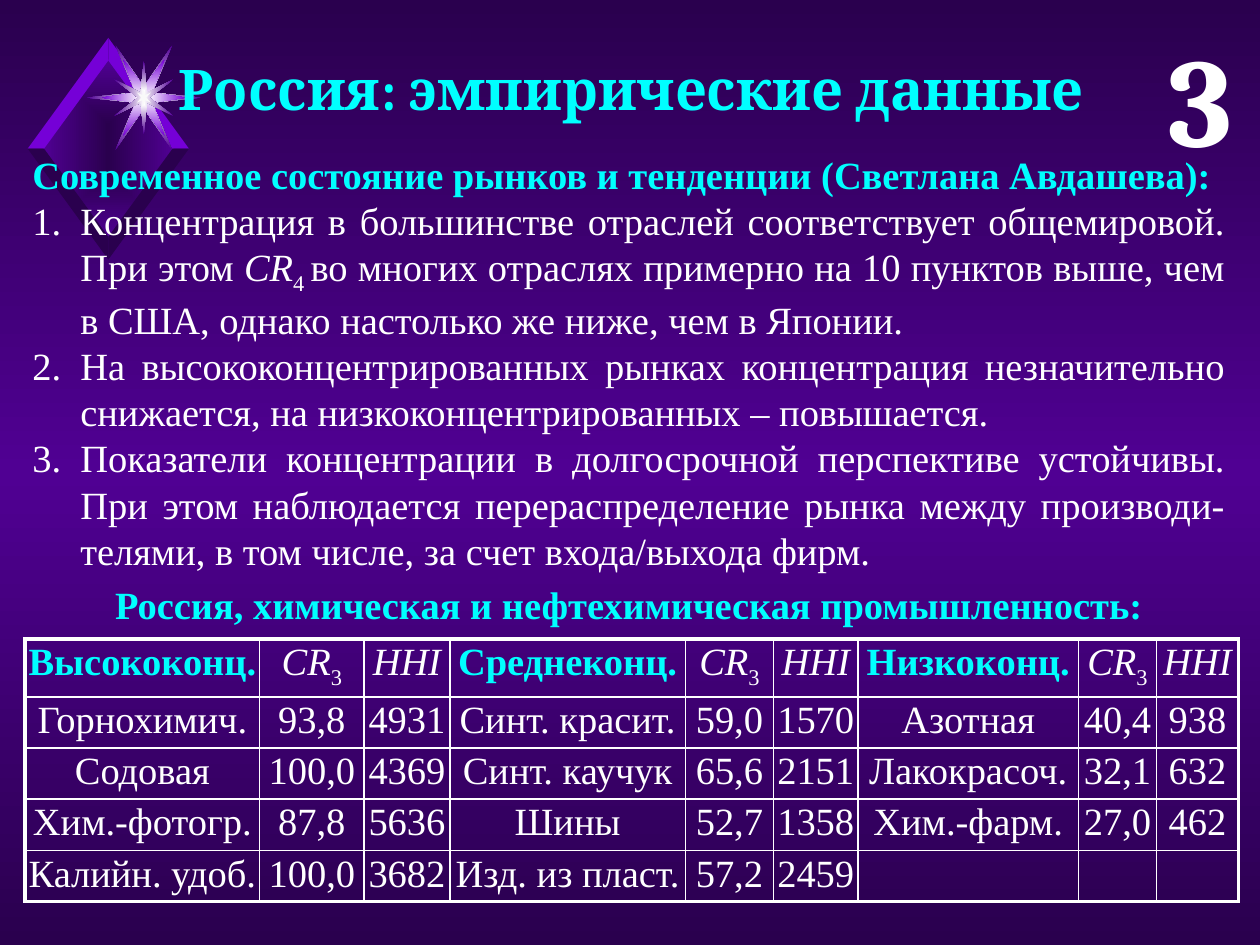
from lxml import etree
from pptx import Presentation
from pptx.dml.color import RGBColor
from pptx.enum.text import MSO_ANCHOR, MSO_AUTO_SIZE, PP_ALIGN
from pptx.oxml.ns import qn
from pptx.util import Inches, Pt

DARK = RGBColor(0x2A, 0x00, 0x4E)
MID = RGBColor(0x50, 0x00, 0x93)
LIGHT = RGBColor(0x75, 0x00, 0xD7)
CYAN = RGBColor(0x00, 0xFF, 0xFF)
WHITE = RGBColor(0xFF, 0xFF, 0xFF)
PALE = RGBColor(0xF9, 0xF9, 0xF9)
HEAD, BODY = "Cambria", "Times New Roman"

# Text styles of a run
PLAIN = dict(color=WHITE)
BOLD = dict(color=CYAN, bold=True)
ITAL = dict(color=WHITE, italic=True)
SUB = dict(color=WHITE, base=-25000)

deck = Presentation()
deck.slide_width, deck.slide_height = Inches(10), Inches(7.5)
UNIT = deck.slide_width / 100  # grid of 100 columns by 75 rows


def grid(*nums):
    return [round(n * UNIT) for n in nums]


def sub(node, tag, **attrs):
    return etree.SubElement(node, qn(tag), {k: str(v) for k, v in attrs.items()})


def blend(fill, node, stops, rect=False):
    """Gradient fill; stops are (percent, colour) pairs."""
    fill.gradient()
    grad = node.xpath(".//a:gradFill")[0]
    for kid in list(grad):
        grad.remove(kid)
    row = sub(grad, "a:gsLst")
    for pos, color in stops:
        sub(sub(row, "a:gs", pos=pos * 1000), "a:srgbClr", val=color)
    if rect:
        way = sub(grad, "a:path", path="rect")
        sub(way, "a:fillToRect", l=50000, t=50000, r=50000, b=50000)
    else:
        sub(grad, "a:lin", ang=5400000, scaled=0)


def write(para, parts, align, size=22, font=BODY):
    para.alignment = align
    for text, style in parts:
        if text == "\v":
            para.add_line_break()
            continue
        run = para.add_run()
        run.text = text
        face = run.font
        face.name, face.size = font, Pt(size)
        face.color.rgb = style["color"]
        face.bold = style.get("bold", False)
        face.italic = style.get("italic", False)
        if "base" in style:
            run._r.get_or_add_rPr().set("baseline", str(style["base"]))


def text_box(slide, box):
    shape = slide.shapes.add_textbox(*grid(*box))
    shape.text_frame.word_wrap = True
    return shape.text_frame


# Emblem: a faceted diamond with a sparkling star
def emblem(slide, box):
    left, top, wide, high = grid(*box)
    group = slide.shapes.add_group_shape()

    def draw(points, colors, at=(0.5, 0.5)):
        pen = group.shapes.build_freeform(*points[0], scale=914.4)
        pen.add_line_segments(points[1:], close=True)
        shape = pen.convert_to_shape(round(left + at[0] * wide), round(top + at[1] * high))
        shape.shadow.inherit = False
        shape.line.fill.background()
        if len(colors) == 2:
            blend(shape.fill, shape._element, list(zip((0, 100), colors)), rect=True)
        else:
            shape.fill.solid()
            shape.fill.fore_color.rgb = colors[0]

    draw([(0, -710), (-520, 0), (0, 710), (520, 0)], [DARK, MID])
    for v, color in ((-1, LIGHT), (1, DARK)):
        for h in (1, -1):
            draw([(0, v * 700), (0, v * 880), (h * 640, 0), (h * 510, 0)], [color])

    # Each star is one quarter, mirrored on both axes
    stars = [
        ((455, 0), (65, 40), (225, 415), (0, 85), [WHITE, MID]),
        ((335, 0), (65, 40), (165, 305), (0, 85), [WHITE, LIGHT]),
        ((45, 0), (235, 145), (25, 40), (0, 290), [WHITE, MID]),
        ((20, 0), (55, 40), (10, 20), (0, 70), [PALE]),
    ]
    for *part, colors in stars:
        half = part + [(-x, y) for x, y in part[2:0:-1]]
        draw(half + [(-x, -y) for x, y in half], colors, at=(0.72, 0.27))


def heading(slide, box, text):
    title = slide.shapes.title
    title.left, title.top, title.width, title.height = grid(*box)
    frame = title.text_frame
    frame.auto_size = MSO_AUTO_SIZE.NONE
    frame.vertical_anchor = MSO_ANCHOR.TOP
    write(frame.paragraphs[0], [(text, BOLD)], PP_ALIGN.CENTER, 32, HEAD)
    slide.shapes._spTree.append(title._element)  # in front of the emblem


def number(slide, box, text):
    style = dict(color=WHITE, bold=True)
    write(text_box(slide, box).paragraphs[0], [(text, style)], PP_ALIGN.RIGHT, 72, HEAD)


# Lead line followed by a numbered list
def points(slide, box, lead, items):
    frame = text_box(slide, box)
    for i, parts in enumerate([lead] + items):
        para = frame.paragraphs[0] if i == 0 else frame.add_paragraph()
        write(para, parts, PP_ALIGN.JUSTIFY)
        props = para._p.get_or_add_pPr()
        props.set("marL", str(Inches(0.38)))
        props.set("indent", str(-Inches(0.38)))
        if i:
            sub(props, "a:buFont", typeface="+mj-lt")
            sub(props, "a:buAutoNum", type="arabicPeriod")


def caption(slide, box, text):
    write(text_box(slide, box).paragraphs[0], [(text, BOLD)], PP_ALIGN.CENTER)


# Table with a thick frame and thin inner lines
def data_table(slide, box, cols, rows, data):
    shape = slide.shapes.add_table(len(rows), len(cols), *grid(*box))
    table = shape.table
    table.first_row = table.horz_banding = False
    for col, size in zip(table.columns, grid(*cols)):
        col.width = size
    for row, size in zip(table.rows, grid(*rows)):
        row.height = size
    last_r, last_c = len(rows) - 1, len(cols) - 1
    for r, line in enumerate(data):
        for c, text in enumerate(line):
            cell = table.cell(r, c)
            cell.margin_left = cell.margin_right = Inches(0.02)
            cell.margin_top = cell.margin_bottom = Inches(0.02)
            if r:
                parts = [(text, PLAIN)] if text else []
            else:
                parts = [[(text, BOLD)], [("CR", ITAL), ("3", SUB)], [(text, ITAL)]][c % 3]
            write(cell.text_frame.paragraphs[0], parts, PP_ALIGN.CENTER)
            props = cell._tc.get_or_add_tcPr()
            edges = dict(L=c == 0, R=c == last_c, T=r == 0, B=r == last_r)
            for side, outer in edges.items():
                edge = sub(props, "a:ln" + side, w=Pt(2.25 if outer else 1))
                sub(sub(edge, "a:solidFill"), "a:srgbClr", val=WHITE)
            cell.fill.background()


slide = deck.slides.add_slide(deck.slide_layouts[5])
blend(slide.background.fill, slide._element, [(0, DARK), (50, MID), (100, DARK)])

emblem(slide, (2.2, 3, 12.8, 17.6))
heading(slide, (2, 3.8, 96.2, 6.4), "Россия: эмпирические данные")
number(slide, (86.3, 1.2, 12.5, 13.1), "3")
points(
    slide, (1.6, 11.5, 96.6, 34.3),
    [("Современное состояние рынков и тенденции (Светлана Авдашева):", BOLD)],
    [
        [("Концентрация в большинстве отраслей соответствует общемировой.", PLAIN),
         ("\v", PLAIN), ("При этом ", PLAIN), ("CR", ITAL), ("4 ", SUB),
         ("во многих отраслях примерно на 10 пунктов выше, чем в США, "
          "однако настолько же ниже, чем в Японии.", PLAIN)],
        [("На высококонцентрированных рынках концентрация незначительно снижается, "
          "на низкоконцентрированных – повышается.", PLAIN)],
        [("Показатели концентрации в долгосрочной перспективе устойчивы. "
          "При этом наблюдается перераспределение рынка между производи-телями, "
          "в том числе, за счет входа/выхода фирм.", PLAIN)],
    ],
)
data_table(
    slide, (2, 50.7, 96.3, 20.3),
    (18.6, 8.3, 6.8, 18.7, 7, 6.7, 17.5, 6.2, 6.5), (4.6, 4, 4, 4, 4),
    [
        ("Высококонц.", "CR3", "HHI", "Среднеконц.", "CR3", "HHI", "Низкоконц.", "CR3", "HHI"),
        ("Горнохимич.", "93,8", "4931", "Синт. красит.", "59,0", "1570", "Азотная", "40,4", "938"),
        ("Содовая", "100,0", "4369", "Синт. каучук", "65,6", "2151", "Лакокрасоч.", "32,1", "632"),
        ("Хим.-фотогр.", "87,8", "5636", "Шины", "52,7", "1358", "Хим.-фарм.", "27,0", "462"),
        ("Калийн. удоб.", "100,0", "3682", "Изд. из пласт.", "57,2", "2459", "", "", ""),
    ],
)
caption(slide, (2.2, 45.6, 95.4, 4.7), "Россия, химическая и нефтехимическая промышленность:")
deck.save("out.pptx")
